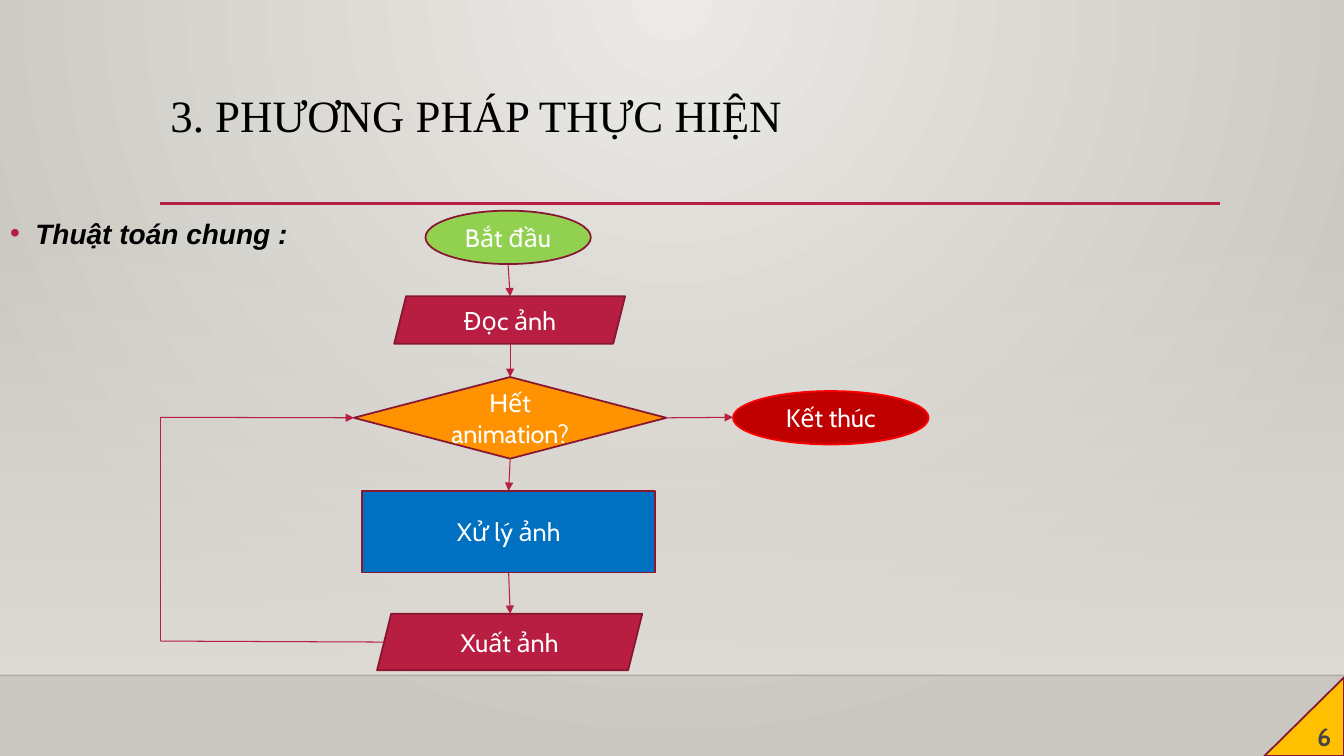
from dataclasses import dataclass

from lxml.etree import SubElement
from pptx import Presentation
from pptx.dml.color import RGBColor
from pptx.enum.shapes import MSO_CONNECTOR, MSO_SHAPE
from pptx.enum.text import MSO_ANCHOR, PP_ALIGN
from pptx.oxml import parse_xml
from pptx.oxml.ns import nsdecls, qn
from pptx.util import Inches, Pt


@dataclass(frozen=True)
class Theme:
    backdrop_light: str = "ECEAE7"
    backdrop_dark: str = "CAC7C1"
    floor: str = "DFDBD5"
    black: str = "000000"
    white: str = "FFFFFF"
    accent: str = "B71E42"
    outline: str = "871631"
    green: str = "92D050"
    orange: str = "FF9201"
    blue: str = "0070C0"
    dark_red: str = "C00000"
    red: str = "FF0000"
    yellow: str = "FFC000"
    grey: str = "454545"
    title_font: str = "Times New Roman"
    list_font: str = "Arial"
    node_font: str = "Cabin"
    title_size: int = 32
    list_size: int = 20
    node_size: int = 18


class FlowSlide:
    """Draws flowchart elements on one slide in a single theme."""

    def __init__(self, presentation, theme):
        self.theme = theme
        self.slide = presentation.slides.add_slide(presentation.slide_layouts[1])
        self.shapes = self.slide.shapes

    def gradient(self, stops, direction):
        marks = "".join(
            f'<a:gs pos="{pos}"><a:srgbClr val="{color}"><a:alpha val="{alpha}"/></a:srgbClr></a:gs>'
            for pos, color, alpha in stops)
        return parse_xml(f'<a:gradFill {nsdecls("a")} rotWithShape="1">'
                         f'<a:gsLst>{marks}</a:gsLst>{direction}</a:gradFill>')

    def replace_gradient(self, fill, parent, stops, direction):
        fill.gradient()
        current = parent.find(".//" + qn("a:gradFill"))
        current.getparent().replace(current, self.gradient(stops, direction))

    def background(self):
        t = self.theme
        self.replace_gradient(
            self.slide.background.fill, self.slide.element,
            [(0, t.backdrop_light, 100000), (100000, t.backdrop_dark, 100000)],
            '<a:path path="circle"><a:fillToRect l="43000" t="0" r="43000" b="100000"/></a:path>')

    def floor(self, left, top, width, height):
        panel = self.shapes.add_shape(MSO_SHAPE.RECTANGLE, Inches(left), Inches(top),
                                      Inches(width), Inches(height))
        panel.shadow.inherit = False
        panel.line.fill.background()
        color = self.theme.floor
        self.replace_gradient(panel.fill, panel.element,
                              [(0, color, 0), (100000, color, 100000)],
                              '<a:lin ang="5400000" scaled="0"/>')

    def line(self, start, end, color=None, width=0.75, arrow=False, alpha=None,
             begin_at=None, end_at=None):
        link = self.shapes.add_connector(MSO_CONNECTOR.STRAIGHT,
                                         *map(Inches, (*start, *end)))
        link.line.width = Pt(width)
        link.line.color.rgb = RGBColor.from_string(color or self.theme.accent)
        properties = link.element.spPr
        if alpha:
            SubElement(properties.find(".//" + qn("a:srgbClr")), qn("a:alpha"),
                       val=str(alpha * 1000))
        if arrow:
            SubElement(properties.find(qn("a:ln")), qn("a:tailEnd"), type="triangle")
        SubElement(properties, qn("a:effectLst"))
        if begin_at:
            link.begin_connect(*begin_at)
        if end_at:
            link.end_connect(*end_at)

    def add_text(self, paragraph, text, font, size, color, bold=False, italic=False):
        run = paragraph.add_run()
        run.text = text
        run.font.name = font
        run.font.size = Pt(size)
        run.font.bold = bold
        run.font.italic = italic
        run.font.color.rgb = RGBColor.from_string(color)

    def place(self, holder, left, top, width, height, line_spacing):
        self.shapes.element.append(holder.element)
        holder.left, holder.top = Inches(left), Inches(top)
        holder.width, holder.height = Inches(width), Inches(height)
        holder.text_frame.vertical_anchor = MSO_ANCHOR.TOP
        paragraph = holder.text_frame.paragraphs[0]
        paragraph.alignment = PP_ALIGN.LEFT
        paragraph.line_spacing = line_spacing
        paragraph.space_before = Pt(0)
        return paragraph

    def title(self, text, *box):
        t = self.theme
        heading = self.place(self.shapes.title, *box, 0.9)
        self.add_text(heading, text, t.title_font, t.title_size, t.black)

    def bullet(self, text, *box):
        t = self.theme
        item = self.place(self.slide.placeholders[1], *box, 1.2)
        properties = item._p.get_or_add_pPr()
        properties.set("marL", str(Inches(0.25)))
        properties.set("indent", str(Inches(-0.25)))
        SubElement(SubElement(properties, qn("a:buClr")), qn("a:srgbClr"), val=t.accent)
        SubElement(properties, qn("a:buFont"), typeface=t.list_font)
        SubElement(properties, qn("a:buChar"), char="•")
        self.add_text(item, text, t.list_font, t.list_size, t.black, bold=True, italic=True)

    def node(self, kind, text, box, fill, outline=None, color=None, bold=False):
        t = self.theme
        node = self.shapes.add_shape(kind, *map(Inches, box))
        node.shadow.inherit = False
        node.fill.solid()
        node.fill.fore_color.rgb = RGBColor.from_string(fill)
        node.line.color.rgb = RGBColor.from_string(outline or t.outline)
        node.line.width = Pt(1.25)
        node.text_frame.word_wrap = True
        node.text_frame.vertical_anchor = MSO_ANCHOR.MIDDLE
        label = node.text_frame.paragraphs[0]
        label.alignment = PP_ALIGN.CENTER
        self.add_text(label, text, t.node_font, t.node_size, color or t.white, bold)
        return node


def main():
    theme = Theme()
    presentation = Presentation()
    presentation.slide_width = Inches(13.33)
    presentation.slide_height = Inches(7.5)
    flow = FlowSlide(presentation, theme)

    flow.background()
    flow.floor(0, 2.21, 13.33, 4.49)
    flow.line((0, 6.7), (13.33, 6.7), theme.black, 1, alpha=20)
    flow.line((1.59, 2.02), (12.1, 2.02), width=2.5)
    flow.title("3. PHƯƠNG PHÁP THỰC HIỆN", 1.59, 0.88, 10.5, 1.15)
    flow.bullet("Thuật toán chung :", 0, 2.03, 13.33, 4.03)

    flow.node(MSO_SHAPE.OVAL, "Bắt đầu", (4.22, 2.09, 1.64, 0.53), theme.green)
    flow.node(MSO_SHAPE.PARALLELOGRAM, "Đọc ảnh", (3.91, 2.94, 2.29, 0.47), theme.accent)
    finished = flow.node(MSO_SHAPE.DIAMOND, "Hết animation?", (3.51, 3.74, 3.1, 0.81),
                         theme.orange)
    process = flow.node(MSO_SHAPE.RECTANGLE, "Xử lý ảnh", (3.59, 4.87, 2.91, 0.81),
                        theme.blue)
    flow.node(MSO_SHAPE.PARALLELOGRAM, "Xuất ảnh", (3.74, 6.09, 2.63, 0.56), theme.accent)
    flow.node(MSO_SHAPE.OVAL, "Kết thúc", (7.27, 3.88, 1.94, 0.53), theme.dark_red,
              theme.red)

    flow.line((5.04, 2.63), (5.06, 2.94), arrow=True)
    flow.line((5.06, 3.41), (5.06, 3.74), arrow=True, end_at=(finished, 0))
    flow.line((5.06, 4.55), (5.05, 4.87), arrow=True,
              begin_at=(finished, 2), end_at=(process, 0))
    flow.line((5.05, 5.68), (5.06, 6.09), arrow=True, begin_at=(process, 2))
    flow.line((6.61, 4.14), (7.27, 4.14), arrow=True, begin_at=(finished, 3))
    flow.line((3.81, 6.37), (1.59, 6.36))
    flow.line((1.59, 6.36), (1.59, 4.14))
    flow.line((1.59, 4.14), (3.51, 4.14), arrow=True, end_at=(finished, 1))

    corner = flow.node(MSO_SHAPE.ISOSCELES_TRIANGLE, "6", (12.54, 6.72, 0.79, 0.78),
                       theme.yellow, color=theme.grey, bold=True)
    corner.adjustments[0] = 1

    presentation.save("out.pptx")


if __name__ == "__main__":
    main()
